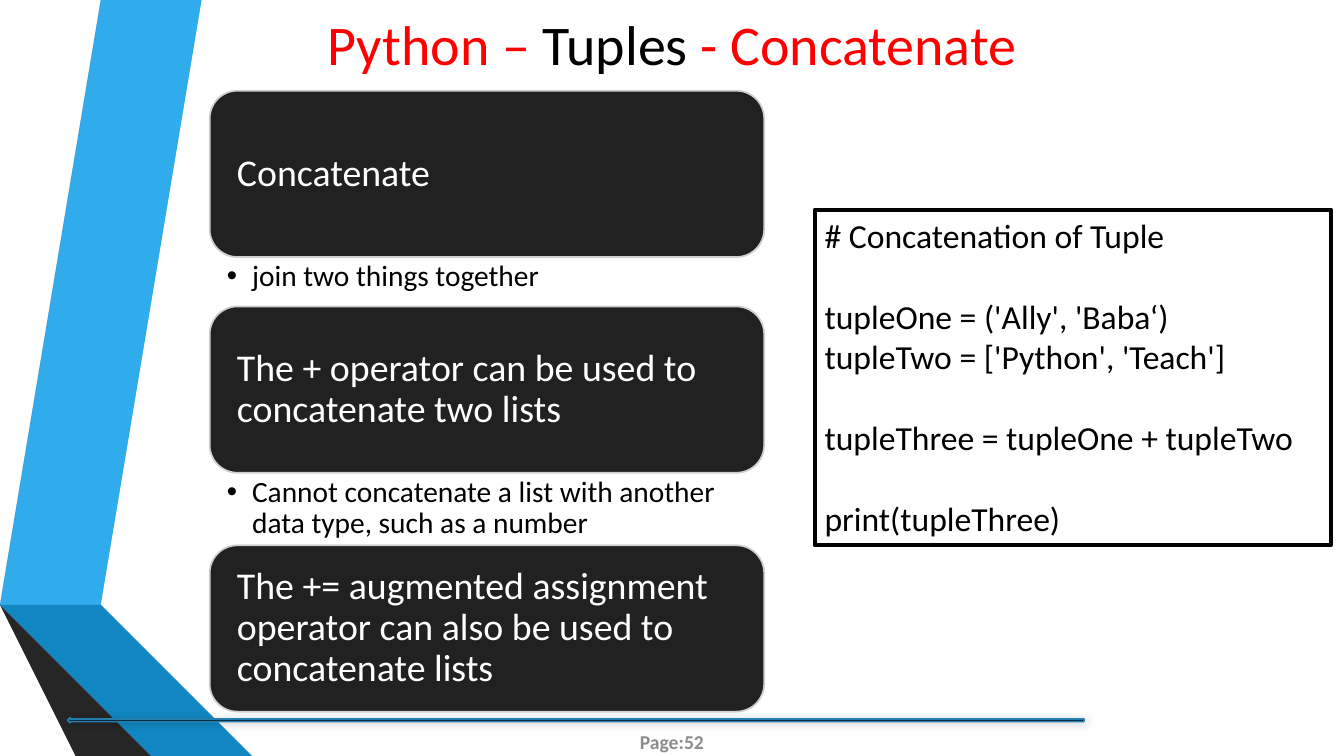
from typing import NamedTuple

import lxml.etree
import pptx
import pptx.dml.color
import pptx.enum.shapes
import pptx.enum.text
import pptx.oxml.ns
import pptx.util

Inches = pptx.util.Inches
Pt = pptx.util.Pt
RGBColor = pptx.dml.color.RGBColor
MSO_SHAPE = pptx.enum.shapes.MSO_SHAPE
ANCHOR = pptx.enum.text.MSO_ANCHOR
ALIGN = pptx.enum.text.PP_ALIGN
qn = pptx.oxml.ns.qn

BLACK = RGBColor(0x00, 0x00, 0x00)
WHITE = RGBColor(0xFF, 0xFF, 0xFF)
RED = RGBColor(0xFF, 0x00, 0x00)
CARD_FILL = RGBColor(0x21, 0x21, 0x21)
CARD_EDGE = RGBColor(0xCD, 0xD0, 0xD1)
RULE_EDGE = RGBColor(0x24, 0x7F, 0xAF)
PAGE_GREY = RGBColor(0x8C, 0x8C, 0x8C)
SKY = RGBColor(0x30, 0xAC, 0xEC)
BLUE = RGBColor(0x12, 0x87, 0xC3)
DEEP_BLUE = RGBColor(0x0C, 0x5A, 0x82)
GREY = RGBColor(0x59, 0x59, 0x59)
DARK_GREY = RGBColor(0x40, 0x40, 0x40)
DEEP_GREY = RGBColor(0x26, 0x26, 0x26)
FONT = "Calibri"


class Ribbon(NamedTuple):
    color: RGBColor
    points: list[tuple[float, float]]


class Card(NamedTuple):
    top: float
    heading: str


class Detail(NamedTuple):
    top: float
    height: float
    text: str


class CodeLine(NamedTuple):
    text: str
    gap_before: bool = False


RIBBONS = [
    Ribbon(SKY, [(0.5, 5.78), (0.77, 5.83), (1.73, 0), (1.45, 0)]),
    Ribbon(GREY, [(1.39, 0), (1.11, 0), (0.16, 5.73), (0.44, 5.77)]),
    Ribbon(DEEP_GREY, [(0.16, 5.73), (1.45, 7.5), (1.51, 7.5)]),
    Ribbon(DEEP_BLUE, [(0.5, 5.79), (2.08, 7.5), (2.13, 7.5)]),
    Ribbon(BLUE, [(0.5, 5.78), (2.13, 7.5), (2.83, 7.5), (0.77, 5.83)]),
    Ribbon(DARK_GREY, [(2.02, 7.5), (0.48, 5.83), (0.43, 5.77), (0.16, 5.73), (1.51, 7.5)]),
]
CARD_LEFT, CARD_WIDTH, CARD_HEIGHT = 2.08, 5.5, 1.65
CARDS = [
    Card(0.9, "Concatenate"),
    Card(3.04, "The + operator can be used to concatenate two lists"),
    Card(5.41, "The += augmented assignment operator can also be used to concatenate lists"),
]
DETAILS = [
    Detail(2.55, 0.49, "join two things together"),
    Detail(4.69, 0.72, "Cannot concatenate a list with another data type, such as a number"),
]
CODE = [
    CodeLine("# Concatenation of Tuple"),
    CodeLine("tupleOne = ('Ally', 'Baba‘)", gap_before=True),
    CodeLine("tupleTwo = ['Python', 'Teach']"),
    CodeLine("tupleThree = tupleOne + tupleTwo", gap_before=True),
    CodeLine("print(tupleThree)", gap_before=True),
]
TITLE = [("Python – ", RED), ("Tuples ", BLACK), ("- Concatenate", RED)]


def place(shape, left: float, top: float, width: float, height: float) -> None:
    shape.left, shape.top = Inches(left), Inches(top)
    shape.width, shape.height = Inches(width), Inches(height)


def set_frame(frame, anchor, left: float, top: float, right: float, bottom: float) -> None:
    """Fix the anchor and the insets (inches) of a wrapping text frame."""
    frame.word_wrap = True
    frame.auto_size = pptx.enum.text.MSO_AUTO_SIZE.NONE
    frame.vertical_anchor = anchor
    frame.margin_left, frame.margin_top = Inches(left), Inches(top)
    frame.margin_right, frame.margin_bottom = Inches(right), Inches(bottom)


def set_font(run, size: float, color: RGBColor, bold: bool = False) -> None:
    run.font.name, run.font.size, run.font.bold = FONT, Pt(size), bold
    run.font.color.rgb = color


def draw_ribbon(slide, ribbon: Ribbon) -> None:
    start, *rest = ribbon.points
    builder = slide.shapes.build_freeform(*start, scale=Inches(1))
    builder.add_line_segments(rest, close=True)
    shape = builder.convert_to_shape()
    shape.shadow.inherit = False
    shape.fill.solid()
    shape.fill.fore_color.rgb = ribbon.color
    shape.line.fill.background()


def add_preset(slide, preset, box: tuple[float, ...], fill: RGBColor | None,
               edge: RGBColor, edge_width: float):
    shape = slide.shapes.add_shape(preset, *map(Inches, box))
    shape.shadow.inherit = False
    if fill is None:
        shape.fill.background()
    else:
        shape.fill.solid()
        shape.fill.fore_color.rgb = fill
    shape.line.color.rgb = edge
    shape.line.width = Pt(edge_width)
    return shape


def fill_title(title) -> None:
    place(title, 0, 0, 13.33, 0.86)
    set_frame(title.text_frame, ANCHOR.MIDDLE, 0.1, 0.05, 0.1, 0.05)
    heading = title.text_frame.paragraphs[0]
    heading.alignment = ALIGN.CENTER
    for words, color in TITLE:
        run = heading.add_run()
        run.text = words
        set_font(run, 40, color)


def fill_detail(body, detail: Detail) -> None:
    place(body, CARD_LEFT, detail.top, CARD_WIDTH, detail.height)
    set_frame(body.text_frame, ANCHOR.TOP, 0.17, 0.04, 0.21, 0.04)
    body.text_frame.text = detail.text
    item = body.text_frame.paragraphs[0]
    item.line_spacing, item.space_before = 0.9, Pt(0)
    properties = item._p.get_or_add_pPr()
    properties.set("marL", str(Inches(0.25)))
    properties.set("indent", str(Inches(-0.25)))
    set_font(item.runs[0], 21, BLACK)


def draw_card(slide, card: Card) -> None:
    box = (CARD_LEFT, card.top, CARD_WIDTH, CARD_HEIGHT)
    shape = add_preset(slide, MSO_SHAPE.ROUNDED_RECTANGLE, box, CARD_FILL, CARD_EDGE, 1.25)
    set_frame(shape.text_frame, ANCHOR.MIDDLE, 0.19, 0.19, 0.19, 0.19)
    shape.text_frame.text = card.heading
    heading = shape.text_frame.paragraphs[0]
    heading.alignment, heading.line_spacing = ALIGN.LEFT, 0.9
    set_font(heading.runs[0], 27, WHITE)


def draw_code(slide) -> None:
    listing = add_preset(slide, MSO_SHAPE.RECTANGLE, (8.08, 2.08, 5.12, 3.33), None, BLACK, 3)
    frame = listing.text_frame
    set_frame(frame, ANCHOR.TOP, 0.1, 0.05, 0.1, 0.05)
    frame.text = "\n".join(line.text for line in CODE)
    for paragraph, line in zip(frame.paragraphs, CODE):
        paragraph.alignment = ALIGN.LEFT
        paragraph.space_before = Pt(29 if line.gap_before else 0)
        set_font(paragraph.runs[0], 24, BLACK)


def draw_footer(slide) -> None:
    page = slide.shapes.add_textbox(*map(Inches, (5.78, 7.16, 1.77, 0.4)))
    set_frame(page.text_frame, ANCHOR.MIDDLE, 0.04, 0.02, 0.04, 0.02)
    page.text_frame.text = "Page:52"
    page.text_frame.paragraphs[0].alignment = ALIGN.CENTER
    set_font(page.text_frame.paragraphs[0].runs[0], 14, PAGE_GREY, bold=True)

    rule = add_preset(slide, MSO_SHAPE.LEFT_ARROW, (0.67, 7.12, 10.08, 0.05),
                      BLACK, RULE_EDGE, 1.25)
    effects = rule._element.spPr.find(qn("a:effectLst"))
    shadow = lxml.etree.SubElement(effects, qn("a:outerShdw"), blurRad=str(Pt(6)),
                                   dist=str(Pt(1)), dir="2700000", rotWithShape="0")
    color = lxml.etree.SubElement(shadow, qn("a:srgbClr"), val=str(BLACK))
    lxml.etree.SubElement(color, qn("a:alpha"), val="20000")


def main() -> None:
    deck = pptx.Presentation()
    deck.slide_width, deck.slide_height = Inches(13.33), Inches(7.5)
    two_content = deck.slide_layouts[3]
    slide = deck.slides.add_slide(two_content)
    for ribbon in RIBBONS:
        draw_ribbon(slide, ribbon)
    draw_footer(slide)
    fill_title(slide.shapes.title)
    for index, detail in enumerate(DETAILS, start=1):
        fill_detail(slide.placeholders[index], detail)
    for card in CARDS:
        draw_card(slide, card)
    draw_code(slide)
    deck.save("out.pptx")


if __name__ == "__main__":
    main()
